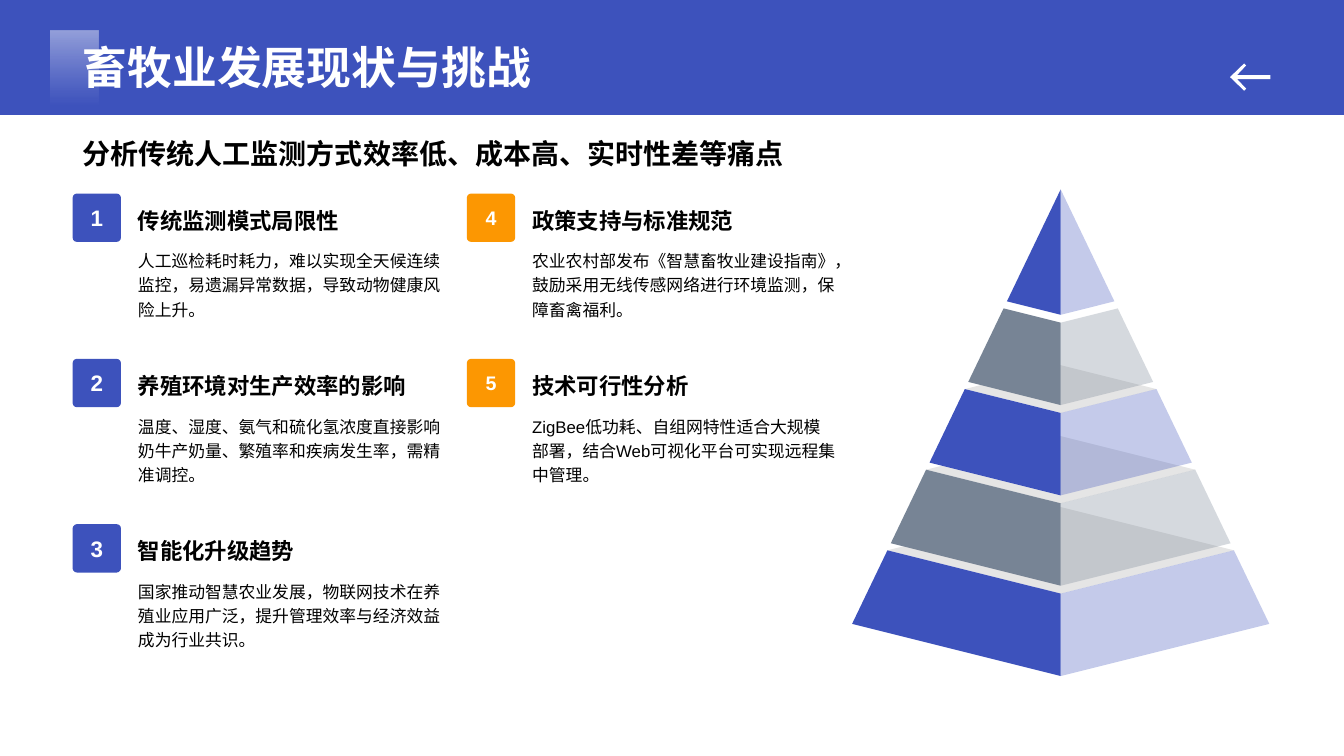
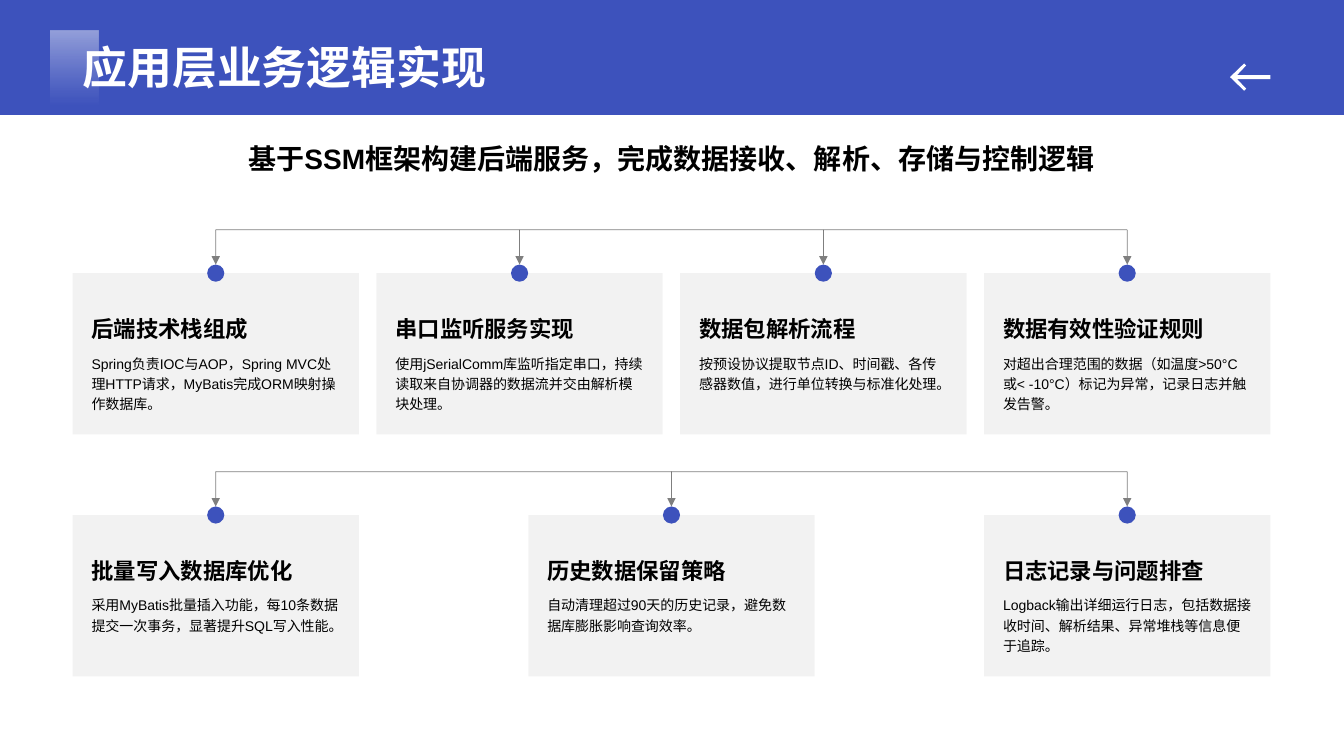
import itertools

import pptx
import pptx.dml.color
import pptx.enum.lang
import pptx.enum.shapes
import pptx.enum.text
import pptx.oxml.ns
import pptx.util
from lxml import etree

Inches = pptx.util.Inches
SHAPE = pptx.enum.shapes.MSO_SHAPE
ALIGN = pptx.enum.text.PP_ALIGN
ANCHOR = pptx.enum.text.MSO_ANCHOR
CHINESE = pptx.enum.lang.MSO_LANGUAGE_ID.SIMPLIFIED_CHINESE
qn = pptx.oxml.ns.qn

FONT = "Arial"
BLUE, ORANGE, SLATE = "3D52BC", "FC9702", "778495"
BLACK, WHITE, PALE = "000000", "FFFFFF", "D8DCF2"
PAGE_WIDTH, PAGE_HEIGHT = 13.33, 7.5
LEFT, WIDTH = 0.72, 11.88

HEADLINE = {"size": 32, "bold": True, "color": WHITE, "anchor": ANCHOR.BOTTOM}
SUBTITLE = {"size": 20, "bold": True, "anchor": ANCHOR.MIDDLE}
HEADING = {"size": 16, "bold": True, "spacing": 1.2}
ISSUE_BODY = {"size": 12, "spacing": 1.2}
CARD_BODY = {"size": 10, "spacing": 1.2}
BADGE = {"bold": True, "color": WHITE, "align": ALIGN.CENTER,
         "anchor": ANCHOR.MIDDLE, "wrap": False}

ISSUE_COLUMNS = [
    {"color": BLUE, "number_size": 16, "issues": [
        ("传统监测模式局限性", "人工巡检耗时耗力，难以实现全天候连续监控，易遗漏异常数据，导致动物健康风险上升。"),
        ("养殖环境对生产效率的影响", "温度、湿度、氨气和硫化氢浓度直接影响奶牛产奶量、繁殖率和疾病发生率，需精准调控。"),
        ("智能化升级趋势", "国家推动智慧农业发展，物联网技术在养殖业应用广泛，提升管理效率与经济效益成为行业共识。"),
    ]},
    {"color": ORANGE, "number_size": 14, "issues": [
        ("政策支持与标准规范", "农业农村部发布《智慧畜牧业建设指南》，鼓励采用无线传感网络进行环境监测，保障畜禽福利。"),
        ("技术可行性分析", "ZigBee低功耗、自组网特性适合大规模部署，结合Web可视化平台可实现远程集中管理。"),
    ]},
]

LOGIC_ROWS = [
    [("后端技术栈组成", "Spring负责IOC与AOP，Spring MVC处理HTTP请求，MyBatis完成ORM映射操作数据库。"),
     ("串口监听服务实现", "使用jSerialComm库监听指定串口，持续读取来自协调器的数据流并交由解析模块处理。"),
     ("数据包解析流程", "按预设协议提取节点ID、时间戳、各传感器数值，进行单位转换与标准化处理。"),
     ("数据有效性验证规则", "对超出合理范围的数据（如温度>50°C或< -10°C）标记为异常，记录日志并触发告警。")],
    [("批量写入数据库优化", "采用MyBatis批量插入功能，每10条数据提交一次事务，显著提升SQL写入性能。"),
     ("历史数据保留策略", "自动清理超过90天的历史记录，避免数据库膨胀影响查询效率。"),
     ("日志记录与问题排查", "Logback输出详细运行日志，包括数据接收时间、解析结果、异常堆栈等信息便于追踪。")],
]


def rgb(code):
    return pptx.dml.color.RGBColor.from_string(code)


def set_values(target, values):
    for name, value in values.items():
        setattr(target, name, value)


def set_alphas(drawn, alphas):
    """Set the opacity percentages of a shape's colours, in order."""
    for color, alpha in zip(drawn.element.iter(qn("a:srgbClr")), alphas):
        etree.SubElement(color, qn("a:alpha")).set("val", str(alpha * 1000))


def paint(shape, color, alpha=100):
    """Give a plain fill without line or shadow."""
    shape.shadow.inherit = False
    shape.line.fill.background()
    shape.fill.solid()
    shape.fill.fore_color.rgb = rgb(color)
    if alpha < 100:
        set_alphas(shape, [alpha])
    return shape


def add_block(page, kind, box, color, alpha=100):
    shape = page.shapes.add_shape(kind, *map(Inches, box))
    return paint(shape, color, alpha)


def add_outline(page, points, color, alpha=100):
    start, *corners = [(Inches(x), Inches(y)) for x, y in points]
    builder = page.shapes.build_freeform(*start)
    builder.add_line_segments(corners, close=True)
    return paint(builder.convert_to_shape(), color, alpha)


def write(shape, text, size, bold=False, color=BLACK, spacing=None,
          align=ALIGN.LEFT, anchor=ANCHOR.TOP, wrap=True):
    frame = shape.text_frame
    set_values(frame, {"word_wrap": wrap, "vertical_anchor": anchor,
                       "auto_size": pptx.enum.text.MSO_AUTO_SIZE.NONE})
    para = frame.paragraphs[0]
    set_values(para, {"alignment": align, "line_spacing": spacing})
    span = para.add_run()
    span.text = text
    set_values(span.font, {"name": FONT, "size": pptx.util.Pt(size),
                           "bold": bold, "language_id": CHINESE})
    span.font.color.rgb = rgb(color)
    use_font_for_chinese(shape)


def use_font_for_chinese(shape):
    for latin in shape.element.iter(qn("a:latin")):
        east_asian = etree.Element(qn("a:ea"), typeface=FONT)
        latin.addnext(east_asian)


def add_text(page, box, text, **style):
    write(page.shapes.add_textbox(*map(Inches, box)), text, **style)


def add_line(page, start, end):
    line = page.shapes.add_connector(
        pptx.enum.shapes.MSO_CONNECTOR.STRAIGHT, *map(Inches, start + end))
    line.line.width = pptx.util.Pt(0.5)
    line.line.color.rgb = rgb(BLACK)
    set_alphas(line, [50])
    etree.SubElement(line.element.spPr, qn("a:effectLst"))
    return line


def add_arrow_to(page, start, dot):
    """Draw an arrow from a point to the top of a dot."""
    arrow = add_line(page, start, start)
    arrow.end_connect(dot, 0)
    outline = arrow.element.spPr.find(qn("a:ln"))
    etree.SubElement(outline, qn("a:tailEnd")).set("type", "triangle")


def add_fading_block(page, box):
    block = add_block(page, SHAPE.RECTANGLE, box, WHITE)
    block.fill.gradient()
    block.fill.gradient_angle = 270
    for stop, position, color in zip(block.fill.gradient_stops, (0, 0.9), (WHITE, PALE)):
        stop.position = position
        stop.color.rgb = rgb(color)
    set_alphas(block, [45, 0])
    return block


def add_back_arrow(page, box):
    """Draw an arrow pointing left; its lower half mirrors the upper one."""
    left, top, width, height = box
    middle, half_stroke = top + height / 2, 0.02
    head_x, notch_x = left + 0.14, left + 0.07
    upper = [(head_x, top), (head_x + half_stroke, top + half_stroke),
             (notch_x, middle - half_stroke), (left + width, middle - half_stroke)]
    lower = [(x, 2 * middle - y) for x, y in reversed(upper)]
    return add_outline(page, upper + lower + [(left, middle)], WHITE)


def dress_layout(layout, page):
    """Draw the header band on a page, then move it to the layout behind its title."""
    header = [
        add_block(page, SHAPE.RECTANGLE, (0, 0, PAGE_WIDTH, 1.14), BLUE),
        add_fading_block(page, (0.5, 0.3, 0.48, 0.83)),
        add_back_arrow(page, (12.2, 0.63, 0.4, 0.27)),
    ]
    first_position = 2
    for position, shape in enumerate(header, start=first_position):
        layout.shapes.element.insert(position, shape.element)
    set_values(layout.placeholders[0], {
        "left": Inches(LEFT), "top": Inches(0.31),
        "width": Inches(11.42), "height": Inches(0.67)})


def add_pyramid(page, center, apex, tiers=5):
    """Draw a two-sided pyramid; each tier's front edge drops towards the centre."""
    slope, tilt = 0.48, 0.25
    tip_height, step, gap = 1.11, 0.8, 0.07

    def half_width(y):
        return slope * (y - apex)

    def front(y):
        return y + tilt * half_width(y)

    bottoms = [apex + tip_height + tier * step for tier in range(tiers)]
    tops = [apex] + [bottom + gap for bottom in bottoms[:-1]]

    for top in tops[2:]:
        half = half_width(top)
        shade = (center - half, top - tilt * half, 2 * half, 2 * tilt * half)
        add_block(page, SHAPE.DIAMOND, shade, BLACK, 10)

    tier_colors = itertools.cycle((BLUE, SLATE))
    for top, bottom, color in zip(tops, bottoms, tier_colors):
        for side, alpha in ((-1, 100), (1, 30)):
            face = [(center + side * half_width(top), top),
                    (center, front(top)),
                    (center, front(bottom)),
                    (center + side * half_width(bottom), bottom)]
            add_outline(page, face, color, alpha)


def add_issue(page, left, top, number, issue, color, number_size):
    heading, body = issue
    badge_size, text_width = 0.48, 3.21
    text_left = left + badge_size + 0.07
    badge = add_block(page, SHAPE.ROUNDED_RECTANGLE,
                      (left, top, badge_size, badge_size), color)
    badge.adjustments[0] = 0.09
    write(badge, str(number), size=number_size, **BADGE)
    add_text(page, (text_left, top, text_width, badge_size), heading,
             anchor=ANCHOR.MIDDLE, **HEADING)
    add_text(page, (text_left, top + badge_size, text_width, 1.02), body, **ISSUE_BODY)


def add_issue_grid(page, left, top):
    column_step, row_step = 3.91, 1.64
    numbers = itertools.count(1)
    for column, group in enumerate(ISSUE_COLUMNS):
        for row, issue in enumerate(group["issues"]):
            add_issue(page, left + column * column_step, top + row * row_step,
                      next(numbers), issue, group["color"], group["number_size"])


def add_card(page, left, top, width, card):
    """Draw a card and return the dot on its upper edge."""
    heading, body = card
    dot_size, inset = 0.17, 0.09
    text_left, text_width = left + inset, width - 2 * inset
    add_block(page, SHAPE.RECTANGLE, (left, top, width, 1.6), BLACK, 5)
    dot_box = (left + (width - dot_size) / 2, top - dot_size / 2, dot_size, dot_size)
    dot = add_block(page, SHAPE.OVAL, dot_box, BLUE)
    add_text(page, (text_left, top + 0.16, text_width, 0.57), heading,
             anchor=ANCHOR.BOTTOM, **HEADING)
    add_text(page, (text_left, top + 0.73, text_width, 0.72), body, **CARD_BODY)
    return dot


def add_card_row(page, left, top, width, cards):
    """Spread cards over a width, under one line with an arrow to each."""
    card_width = 2.84
    line_top = top - 0.43
    step = (width - card_width) / (len(cards) - 1)
    lefts = [left + index * step for index in range(len(cards))]
    branches = [(card_left + card_width / 2, line_top) for card_left in lefts]
    add_line(page, branches[0], branches[-1])
    for card_left, branch, card in zip(lefts, branches, cards):
        dot = add_card(page, card_left, top, card_width, card)
        add_arrow_to(page, branch, dot)


def add_titles(page, headline, subtitle, subtitle_height, align=ALIGN.LEFT):
    write(page.shapes.title, headline, **HEADLINE)
    add_text(page, (LEFT, 1.23, WIDTH, subtitle_height), subtitle,
             align=align, **SUBTITLE)


def fill_challenges(page):
    add_titles(page, "畜牧业发展现状与挑战",
               "分析传统人工监测方式效率低、成本高、实时性差等痛点", 0.58)
    add_pyramid(page, center=10.52, apex=1.88)
    add_issue_grid(page, LEFT, 1.92)


def fill_logic(page):
    add_titles(page, "应用层业务逻辑实现",
               "基于SSM框架构建后端服务，完成数据接收、解析、存储与控制逻辑",
               0.68, ALIGN.CENTER)
    first_top, row_step = 2.71, 2.4
    for row, cards in enumerate(LOGIC_ROWS):
        add_card_row(page, LEFT, first_top + row * row_step, WIDTH, cards)


def main():
    deck = pptx.Presentation()
    deck.slide_width, deck.slide_height = Inches(PAGE_WIDTH), Inches(PAGE_HEIGHT)
    layout = deck.slide_layouts.get_by_name("Title Only")
    challenges = deck.slides.add_slide(layout)
    logic = deck.slides.add_slide(layout)
    dress_layout(layout, challenges)
    fill_challenges(challenges)
    fill_logic(logic)
    deck.save("out.pptx")


if __name__ == "__main__":
    main()
